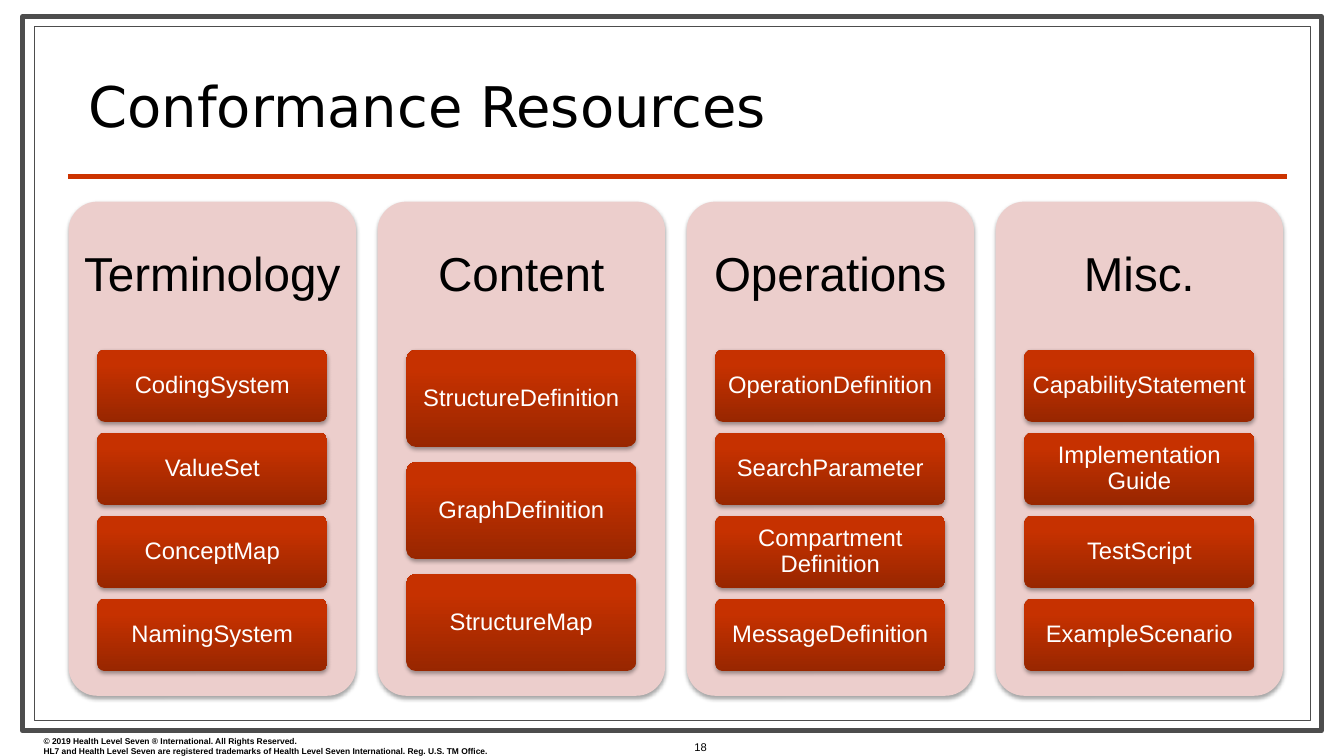
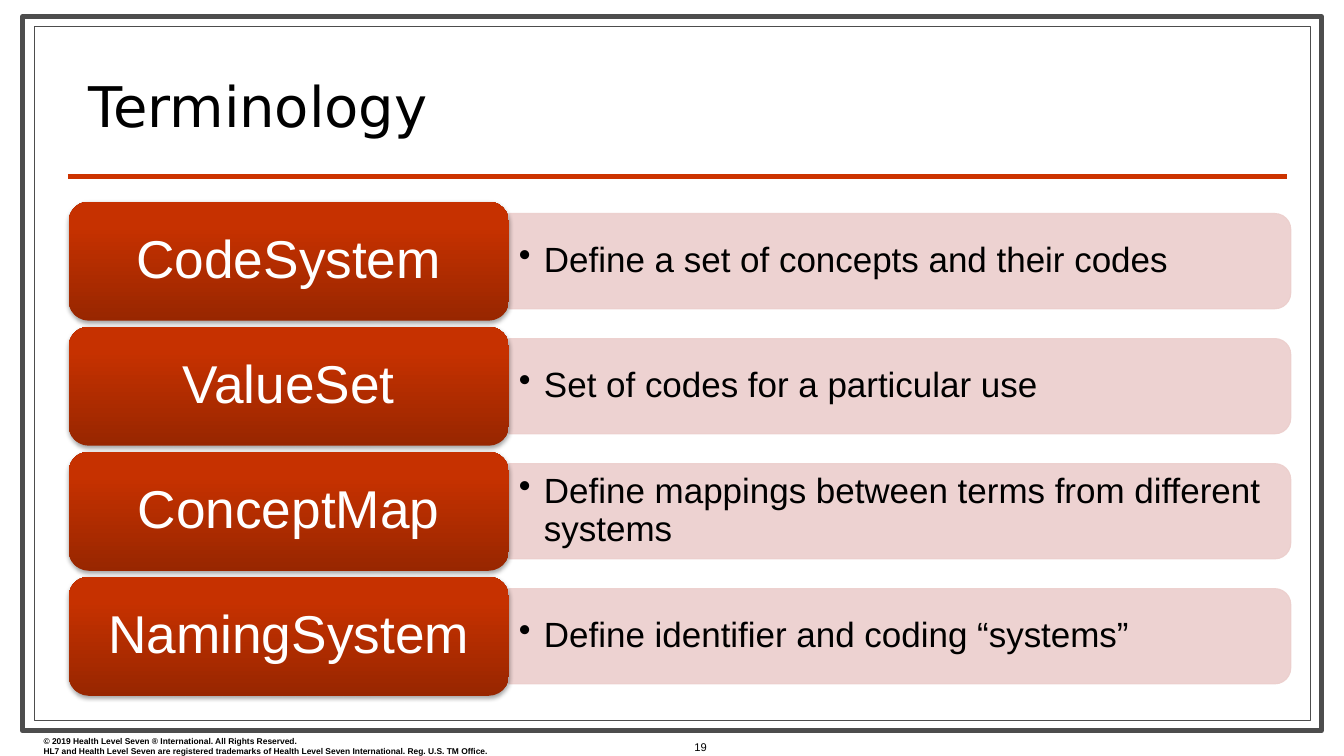
"""Build two slides on conformance resources and terminology."""
from lxml import etree
from pptx import Presentation
from pptx.dml.color import RGBColor
from pptx.enum.shapes import MSO_CONNECTOR, MSO_SHAPE
from pptx.enum.text import MSO_ANCHOR, MSO_AUTO_SIZE, PP_ALIGN
from pptx.oxml import parse_xml
from pptx.oxml.ns import nsdecls, qn
from pptx.util import Pt

RECT, ROUNDED = MSO_SHAPE.RECTANGLE, MSO_SHAPE.ROUNDED_RECTANGLE
TWO_ROUND = MSO_SHAPE.ROUND_2_SAME_RECTANGLE
STRAIGHT = MSO_CONNECTOR.STRAIGHT
TOP, MIDDLE, BOTTOM = MSO_ANCHOR.TOP, MSO_ANCHOR.MIDDLE, MSO_ANCHOR.BOTTOM
LEFT, CENTER, RIGHT = PP_ALIGN.LEFT, PP_ALIGN.CENTER, PP_ALIGN.RIGHT
NO_FIT = MSO_AUTO_SIZE.NONE

COLORS = {"text": "000000", "white": "FFFFFF", "frame": "4D4D4D", "rule": "CC3300",
          "panel": "ECCECC", "dark": "982600", "mid": "C63100", "light": "C73200"}
STOPS = ((0, "dark"), (80, "mid"), (100, "light"))
SIDES = ("margin_left", "margin_top", "margin_right", "margin_bottom")
FRAMES = ((16, 12, 928, 510, 3.5), (24.5, 19, 911.5, 495.5, 0.75))
NOTICE = (
    "© 2019 Health Level Seven ® International. All Rights Reserved.",
    "HL7 and Health Level Seven are registered trademarks of "
    "Health Level Seven International. Reg. U.S. TM Office.",
)
AREA_LEFT, AREA_TOP, AREA_HEIGHT = 49, 144, 353

COLUMNS = {
    "Terminology": ("CodingSystem", "ValueSet", "ConceptMap", "NamingSystem"),
    "Content": ("StructureDefinition", "GraphDefinition", "StructureMap"),
    "Operations": ("OperationDefinition", "SearchParameter",
                   "Compartment Definition", "MessageDefinition"),
    "Misc.": ("CapabilityStatement", "Implementation Guide", "TestScript",
              "ExampleScenario"),
}
DEFINITIONS = {
    "CodeSystem": "Define a set of concepts and their codes",
    "ValueSet": "Set of codes for a particular use",
    "ConceptMap": "Define mappings between terms from different systems",
    "NamingSystem": "Define identifier and coding “systems”",
}


def rgb(name):
    """Return a palette colour."""
    return RGBColor.from_string(COLORS[name])


def spread(total, count, ratio):
    """Return item size and pitch when each gap is a ratio of the item."""
    size = total / (count + (count - 1) * ratio)
    return size, size * (1 + ratio)


class Deck:
    """Hold the shared style and the current page."""

    def __init__(self):
        """Start an empty widescreen deck."""
        self.deck = Presentation()
        self.deck.slide_width, self.deck.slide_height = Pt(960), Pt(540)
        self.page = None

    def add_page(self, title, number):
        """Add a page with its title, frames, rule and footer."""
        self.page = self.deck.slides.add_slide(self.deck.slide_layouts[5])
        box = self.page.shapes.title
        box.left, box.top, box.width, box.height = map(Pt, (56, 37.5, 856, 65))
        self.fill_text(box, [title], 40, font="DejaVu Sans", anchor=BOTTOM, spacing=0.8)
        for *place, weight in FRAMES:
            frame = self.shape(RECT, place)
            frame.fill.background()
            frame.line.color.rgb = rgb("frame")
            frame.line.width = Pt(weight)
        self.rule(48.5, 126, 919.5)
        self.text((24, 522, 464, 21.5), NOTICE, 6, bold=True, anchor=TOP)
        self.text((456, 515, 56, 37), [number], 8, align=RIGHT)

    def shape(self, kind, place):
        """Add a preset shape without a shadow."""
        shape = self.page.shapes.add_shape(kind, *map(Pt, place))
        shape.shadow.inherit = False
        return shape

    def rule(self, left, top, right):
        """Draw the line below the title."""
        line = self.page.shapes.add_connector(STRAIGHT, *map(Pt, (left, top, right, top)))
        line.line.color.rgb = rgb("rule")
        line.line.width = Pt(3)
        etree.SubElement(line._element.spPr, qn("a:effectLst"))

    def fill_text(self, box, lines, size, color="text", font="Arial", bold=False,
                  align=LEFT, anchor=MIDDLE, spacing=1.0, insets=(7.2, 3.6, 7.2, 3.6),
                  bullet=False):
        """Fill a box with formatted paragraphs."""
        frame = box.text_frame
        layout = {"word_wrap": True, "auto_size": NO_FIT, "vertical_anchor": anchor,
                  **dict(zip(SIDES, map(Pt, insets)))}
        for name, value in layout.items():
            setattr(frame, name, value)
        for index, line in enumerate(lines):
            para = frame.add_paragraph() if index else frame.paragraphs[0]
            if bullet:
                props = para._p.get_or_add_pPr()
                props.set("marL", str(Pt(18)))
                props.set("indent", str(-Pt(18)))
                etree.SubElement(props, qn("a:buChar"), char="•")
            para.alignment, para.line_spacing = align, spacing
            span = para.add_run()
            span.text = line
            for name, value in {"size": Pt(size), "name": font, "bold": bold}.items():
                setattr(span.font, name, value)
            span.font.color.rgb = rgb(color)

    def text(self, place, lines, size, **style):
        """Add a text box."""
        box = self.page.shapes.add_textbox(*map(Pt, place))
        self.fill_text(box, lines, size, **style)

    def card(self, place, label, size, insets, corner=0.1, glossy=True):
        """Add a rounded, shadowed card with a centred label."""
        card = self.shape(ROUNDED, place)
        card.adjustments[0] = corner
        card.line.fill.background()
        card.fill.solid()
        card.fill.fore_color.rgb = rgb("panel")
        props = card._element.spPr
        if glossy:
            stops = "".join(
                f'<a:gs pos="{stop * 1000}"><a:srgbClr val="{COLORS[name]}"/></a:gs>'
                for stop, name in STOPS)
            props.replace(props.find(qn("a:solidFill")), parse_xml(
                f'<a:gradFill {nsdecls("a")} rotWithShape="1"><a:gsLst>{stops}</a:gsLst>'
                '<a:lin ang="16200000" scaled="0"/></a:gradFill>'))
        props.find(qn("a:effectLst")).append(parse_xml(
            f'<a:outerShdw {nsdecls("a")} blurRad="{Pt(3.1)}" dist="{Pt(1.8)}" '
            'dir="5400000" rotWithShape="0"><a:srgbClr val="000000">'
            '<a:alpha val="35000"/></a:srgbClr></a:outerShdw>'))
        self.fill_text(card, [label], size, color="white" if glossy else "text",
                       align=CENTER, spacing=0.9, insets=insets)

    def bar(self, left, top, width, height):
        """Add a translucent bar with rounded right corners."""
        shift = (width - height) / 2
        bar = self.shape(TWO_ROUND, (left + shift, top - shift, height, width))
        bar.rotation = 90
        bar.line.width = Pt(0.75)
        for fill in (bar.fill, bar.line.fill):
            fill.solid()
            fill.fore_color.rgb = rgb("panel")
        for color in bar._element.spPr.iter(qn("a:srgbClr")):
            etree.SubElement(color, qn("a:alpha"), val="90000")

    def column(self, left, width, heading, labels):
        """Add a panel with a heading and evenly spaced tiles."""
        self.card((left, AREA_TOP, width, AREA_HEIGHT), heading, 34,
                  (4, 4, 4, 251), glossy=False)
        tile, pitch = spread(AREA_HEIGHT * 0.65, len(labels), 2 / 13)
        for index, label in enumerate(labels):
            top = AREA_TOP + AREA_HEIGHT * 0.3 + index * pitch
            self.card((left + width * 0.1, top, width * 0.8, tile), label, 17,
                      (3.5, 3, 3.5, 3))

    def definition(self, top, height, term, meaning):
        """Add a term card with its meaning in a bar."""
        label_width, bar_width = 314.5, 558.5
        left = AREA_LEFT + label_width
        self.bar(left, top + height * 0.1, bar_width, height * 0.8)
        self.text((left, top + height * 0.14, bar_width - 3, height * 0.72),
                  [meaning], 25, spacing=0.9, bullet=True)
        self.card((AREA_LEFT, top, label_width, height), term, 38,
                  (11.5, 6, 11.5, 6), corner=0.17)


def main():
    """Build both pages and save the deck."""
    deck = Deck()
    deck.add_page("Conformance Resources", "18")
    width, pitch = spread(867.5, len(COLUMNS), 0.075)
    for index, (heading, labels) in enumerate(COLUMNS.items()):
        deck.column(AREA_LEFT + index * pitch, width, heading, labels)

    deck.add_page("Terminology", "19")
    height, pitch = spread(AREA_HEIGHT, len(DEFINITIONS), 0.05)
    for index, (term, meaning) in enumerate(DEFINITIONS.items()):
        deck.definition(AREA_TOP + index * pitch, height, term, meaning)
    deck.deck.save("out.pptx")


if __name__ == "__main__":
    main()
